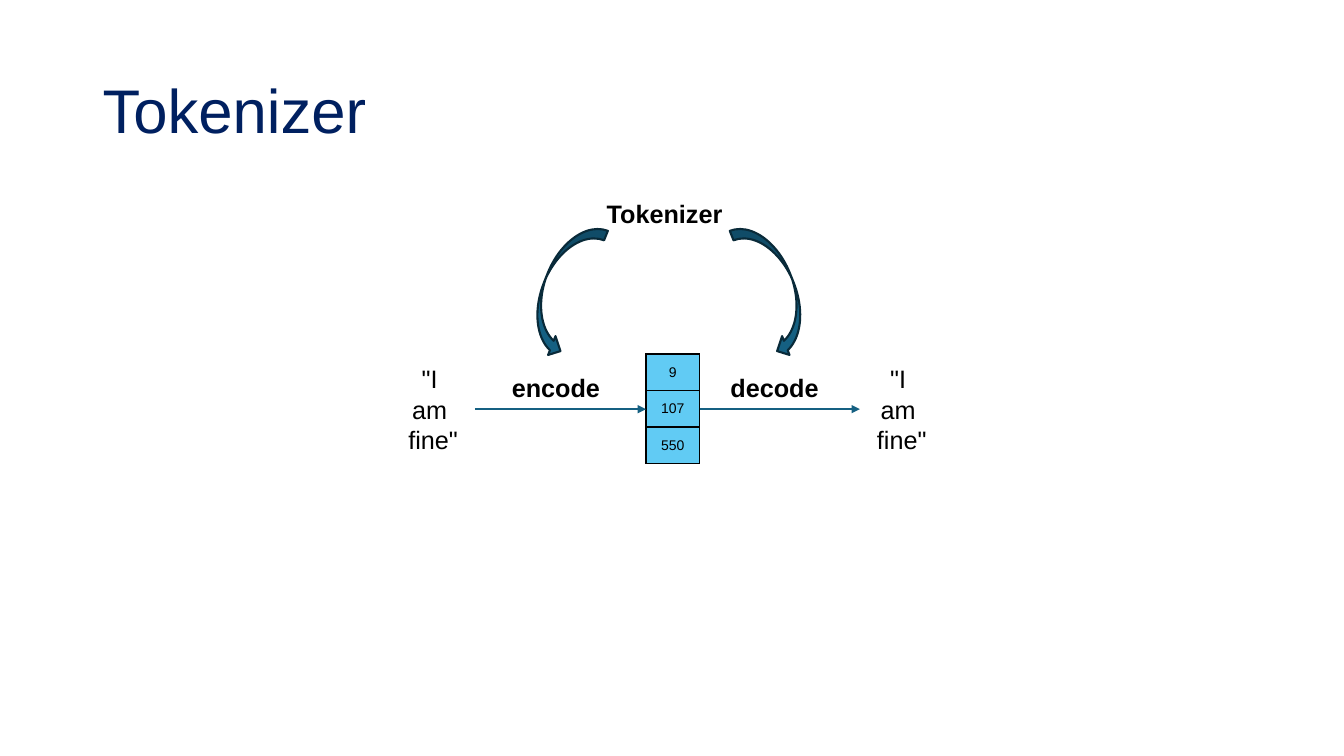
from dataclasses import dataclass

from lxml import etree
from pptx import Presentation
from pptx.dml.color import RGBColor
from pptx.enum import shapes, text
from pptx.oxml import ns
from pptx.util import Cm, Pt


@dataclass(frozen=True)
class Theme:
    font: str = "Arial"
    title: str = "002060"
    ink: str = "000000"
    paper: str = "FFFFFF"
    token: str = "61CBF4"
    accent: str = "156082"
    outline: str = "092A39"
    title_size: float = 44
    body_size: float = 18
    token_size: float = 10
    line_width: float = 1.5
    border_width: float = 1


@dataclass(frozen=True)
class Label:
    words: str
    left: float
    top: float
    width: float


@dataclass(frozen=True)
class Flow:
    start: float
    end: float


@dataclass(frozen=True)
class Sweep:
    left: float
    rotation: float
    mirrored: bool


THEME = Theme()

# Content and positions in centimetres
PHRASE = ('"I ', "am ", 'fine"')
PHRASE_LEFTS = (9.86, 21.67)
PHRASE_TOP, PHRASE_WIDTH, PHRASE_HEIGHT = 9.04, 2.11, 2.57
TOKENS = ("9", "107", "550")
TOKEN_LEFT, TOKEN_TOP, TOKEN_WIDTH, TOKEN_HEIGHT = 16.28, 8.92, 1.35, 0.92
LABEL_HEIGHT = 1.02
LABELS = (
    Label("Tokenizer", 15.04, 4.88, 3.53),
    Label("encode", 12.65, 9.25, 2.82),
    Label("decode", 18.16, 9.25, 2.84),
)
FLOW_Y = 10.31
FLOWS = (
    Flow(PHRASE_LEFTS[0] + PHRASE_WIDTH, TOKEN_LEFT),
    Flow(TOKEN_LEFT + TOKEN_WIDTH, PHRASE_LEFTS[1]),
)
SWEEP_TOP, SWEEP_WIDTH, SWEEP_HEIGHT = 5.51, 1.02, 3.51
SWEEPS = (Sweep(13.69, 21.5, False), Sweep(19.0, 338.5, True))


def rgb(code: str) -> RGBColor:
    return RGBColor.from_string(code)


def write(paragraph, words: str, size: float, color: str = THEME.ink,
          bold: bool = False, align=None) -> None:
    run = paragraph.add_run()
    run.text = words
    run.font.name = THEME.font
    run.font.size = Pt(size)
    run.font.bold = bold
    run.font.color.rgb = rgb(color)
    paragraph.alignment = align


def draw_title(slide) -> None:
    title = slide.shapes.title
    title.left, title.top, title.width, title.height = Cm(2.33), Cm(1.01), Cm(29.21), Cm(3.68)
    title.text_frame.vertical_anchor = text.MSO_ANCHOR.MIDDLE
    heading = title.text_frame.paragraphs[0]
    heading.line_spacing = 0.9
    write(heading, "Tokenizer", THEME.title_size, THEME.title, align=text.PP_ALIGN.LEFT)


def draw_phrase(slide, left: float) -> None:
    phrase = slide.shapes.add_shape(
        shapes.MSO_SHAPE.RECTANGLE, Cm(left), Cm(PHRASE_TOP), Cm(PHRASE_WIDTH), Cm(PHRASE_HEIGHT))
    phrase.shadow.inherit = False
    phrase.fill.solid()
    phrase.fill.fore_color.rgb = rgb(THEME.paper)
    phrase.line.fill.background()
    frame = phrase.text_frame
    frame.word_wrap = True
    frame.auto_size = text.MSO_AUTO_SIZE.SHAPE_TO_FIT_TEXT
    frame.vertical_anchor = text.MSO_ANCHOR.TOP
    for index, word in enumerate(PHRASE):
        paragraph = frame.add_paragraph() if index else frame.paragraphs[0]
        write(paragraph, word, THEME.body_size, align=text.PP_ALIGN.CENTER)


def add_borders(cell) -> None:
    properties = cell._tc.get_or_add_tcPr()
    for side in ("a:lnL", "a:lnR", "a:lnT", "a:lnB"):
        border = etree.SubElement(properties, ns.qn(side), w=str(Pt(THEME.border_width)))
        fill = etree.SubElement(border, ns.qn("a:solidFill"))
        etree.SubElement(fill, ns.qn("a:srgbClr"), val=THEME.ink)


def draw_tokens(slide) -> None:
    tokens = slide.shapes.add_table(
        len(TOKENS), 1, Cm(TOKEN_LEFT), Cm(TOKEN_TOP),
        Cm(TOKEN_WIDTH), Cm(TOKEN_HEIGHT * len(TOKENS))).table
    tokens.first_row = tokens.horz_banding = False
    for index, token in enumerate(TOKENS):
        cell = tokens.cell(index, 0)
        add_borders(cell)
        cell.fill.solid()
        cell.fill.fore_color.rgb = rgb(THEME.token)
        cell.vertical_anchor = text.MSO_ANCHOR.MIDDLE
        write(cell.text_frame.paragraphs[0], token, THEME.token_size,
              align=text.PP_ALIGN.CENTER)


def draw_label(slide, label: Label) -> None:
    caption = slide.shapes.add_textbox(
        Cm(label.left), Cm(label.top), Cm(label.width), Cm(LABEL_HEIGHT))
    frame = caption.text_frame
    frame.word_wrap = False
    frame.auto_size = text.MSO_AUTO_SIZE.SHAPE_TO_FIT_TEXT
    write(frame.paragraphs[0], label.words, THEME.body_size, bold=True)


def draw_flow(slide, flow: Flow) -> None:
    arrow = slide.shapes.add_connector(
        shapes.MSO_CONNECTOR.STRAIGHT, Cm(flow.start), Cm(FLOW_Y), Cm(flow.end), Cm(FLOW_Y))
    arrow.line.color.rgb = rgb(THEME.accent)
    arrow.line.width = Pt(THEME.line_width)
    etree.SubElement(arrow.line._get_or_add_ln(), ns.qn("a:tailEnd"), type="triangle")
    etree.SubElement(arrow._element.spPr, ns.qn("a:effectLst"))


def draw_sweep(slide, sweep: Sweep) -> None:
    arrow = slide.shapes.add_shape(
        shapes.MSO_SHAPE.CURVED_RIGHT_ARROW,
        Cm(sweep.left), Cm(SWEEP_TOP), Cm(SWEEP_WIDTH), Cm(SWEEP_HEIGHT))
    arrow.shadow.inherit = False
    arrow.rotation = sweep.rotation
    if sweep.mirrored:
        arrow._element.spPr.xfrm.set("flipH", "1")
    arrow.fill.solid()
    arrow.fill.fore_color.rgb = rgb(THEME.accent)
    arrow.line.color.rgb = rgb(THEME.outline)
    arrow.line.width = Pt(THEME.line_width)


def main() -> None:
    deck = Presentation()
    deck.slide_width, deck.slide_height = Cm(33.87), Cm(19.05)
    slide = deck.slides.add_slide(deck.slide_layouts.get_by_name("Title Only"))
    slide.background.fill.solid()
    slide.background.fill.fore_color.rgb = rgb(THEME.paper)

    # Text on both sides of the token ids
    draw_title(slide)
    for left in PHRASE_LEFTS:
        draw_phrase(slide, left)
    draw_tokens(slide)

    # Steps between text and tokens
    for flow in FLOWS:
        draw_flow(slide, flow)
    for label in LABELS:
        draw_label(slide, label)
    for sweep in SWEEPS:
        draw_sweep(slide, sweep)

    deck.save("out.pptx")


if __name__ == "__main__":
    main()
